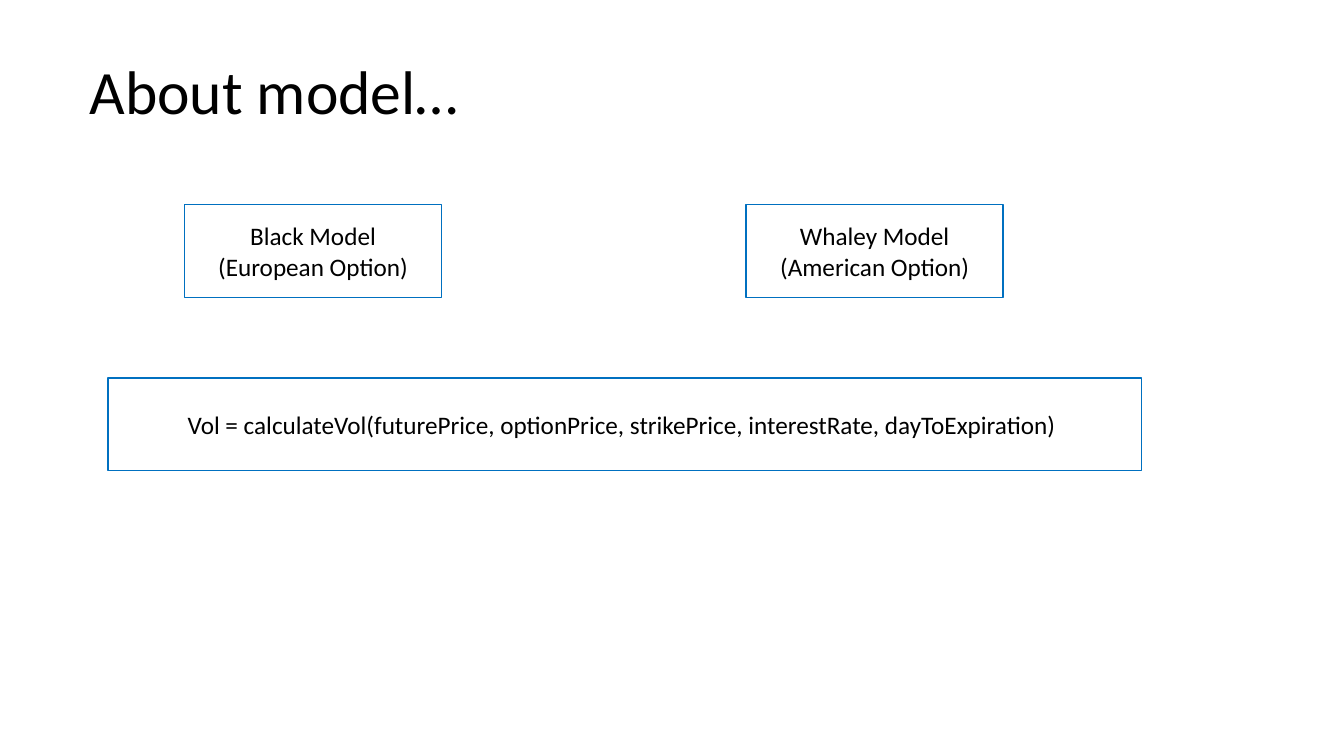
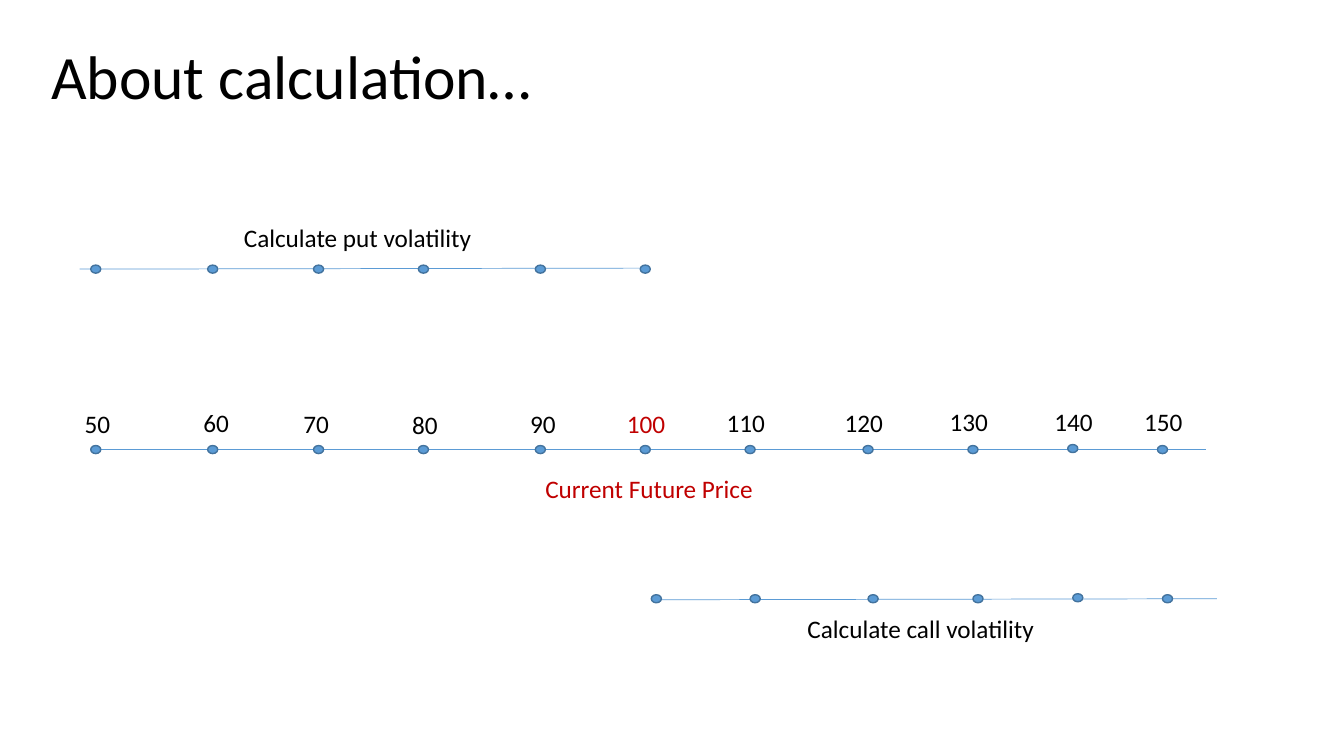
"""Build two slides on option models and the volatility calculation."""
import pptx
import pptx.dml.color
import pptx.enum.shapes
import pptx.enum.text
import pptx.oxml.ns
import pptx.util
import lxml.etree

Inches = pptx.util.Inches
Pt = pptx.util.Pt
SHAPES = pptx.enum.shapes.MSO_SHAPE
ANCHOR = pptx.enum.text.MSO_ANCHOR
hex_color = pptx.dml.color.RGBColor.from_string

BLACK, WHITE, RED = "000000", "FFFFFF", "C00000"
BOX_BLUE, DOT_BLUE, DOT_EDGE = "0070C0", "5B9BD5", "43739E"
TITLE = {"vertical_anchor": ANCHOR.MIDDLE}
BOX = {"vertical_anchor": ANCHOR.MIDDLE}
LABEL = {"auto_size": pptx.enum.text.MSO_AUTO_SIZE.SHAPE_TO_FIT_TEXT}
TITLE_PARAGRAPH = {"line_spacing": 0.9}
BOX_PARAGRAPH = {"alignment": pptx.enum.text.PP_ALIGN.CENTER}


def write(shape, text, frame_format, paragraph_format=None, size=18, color=BLACK):
    """Fill a shape with formatted text."""
    frame = shape.text_frame
    frame.text = text
    frame.word_wrap = True
    for attribute, value in frame_format.items():
        setattr(frame, attribute, value)
    for paragraph in frame.paragraphs:
        for attribute, value in (paragraph_format or {}).items():
            setattr(paragraph, attribute, value)
        for run in paragraph.runs:
            font_format = {"name": "Calibri", "size": Pt(size)}
            for attribute, value in font_format.items():
                setattr(run.font, attribute, value)
            run.font.color.rgb = hex_color(color)


def draw(canvas, kind, left, top, width, height, fill, line):
    """Add a preset shape with a flat fill and a thin outline."""
    shape = canvas.shapes.add_shape(
        kind, Inches(left), Inches(top), Inches(width), Inches(height))
    shape.shadow.inherit = False
    shape.fill.solid()
    shape.fill.fore_color.rgb = hex_color(fill)
    shape.line.color.rgb = hex_color(line)
    shape.line.width = Pt(1)
    return shape


deck = pptx.Presentation()
deck.slide_width = Inches(13.33)
deck.slide_height = Inches(7.5)

slides = []
for title, left, top in [("About model…", 0.79, 0.21),
                         ("About calculation…", 0.41, 0.06)]:
    slide = deck.slides.add_slide(deck.slide_layouts[6])
    heading = slide.shapes.add_textbox(
        Inches(left), Inches(top), Inches(11.5), Inches(1.45))
    write(heading, title, TITLE, TITLE_PARAGRAPH, size=44)
    slides.append(slide)
model_slide, calculation_slide = slides

for text, left, top, width in [
    ("Black Model\n(European Option)", 1.83, 2.03, 2.55),
    ("Whaley Model\n(American Option)", 7.4, 2.03, 2.55),
    ("Vol = calculateVol(futurePrice, optionPrice, strikePrice, "
     "interestRate, dayToExpiration) ", 1.07, 3.75, 10.25),
]:
    box = draw(model_slide, SHAPES.RECTANGLE, left, top, width, 0.92, WHITE, BOX_BLUE)
    write(box, text, BOX, BOX_PARAGRAPH)

strikes = [
    (50, 0.9, 0.74, 4),
    (60, 2.06, 1.92, 3.99),
    (70, 3.11, 2.91, 4),
    (80, 4.15, 3.99, 4.01),
    (90, 5.31, 5.16, 4),
    (100, 6.35, 6.12, 4),
    (110, 7.39, 7.11, 3.99),
    (120, 8.56, 8.28, 3.99),
    (130, 9.6, 9.32, 3.98),
    (140, 10.59, 10.36, 3.98),
    (150, 11.48, 11.25, 3.98),
]
dots = [(strike, left) for strike, left, *_ in strikes]
put_dots = dots[:6]
call_dots = [(100, 6.46)] + [(strike, left + 0.05) for strike, left in dots[6:]]
price_axis = calculation_slide.shapes.add_group_shape()

for canvas, start, end, row_dots, dot_top in [
    (price_axis, (0.9, 4.46), (11.96, 4.46), dots, 4.42),
    (calculation_slide, (0.79, 2.67), (6.35, 2.66), put_dots, 2.63),
    (calculation_slide, (6.51, 5.95), (12.07, 5.94), call_dots, 5.9),
]:
    scale = canvas.shapes.add_connector(
        pptx.enum.shapes.MSO_CONNECTOR.STRAIGHT,
        *[Inches(length) for length in start + end])
    scale.line.color.rgb = hex_color(DOT_BLUE)
    scale.line.width = Pt(0.5)
    lxml.etree.SubElement(
        scale.element.spPr, pptx.oxml.ns.qn("a:effectLst"))
    for strike, left in row_dots:
        top = dot_top - 0.01 if strike == 140 else dot_top
        draw(canvas, SHAPES.OVAL, left, top, 0.1, 0.08, DOT_BLUE, DOT_EDGE)

labels = [
    (price_axis, str(strike), left, top, 0.67, RED if strike == 100 else BLACK)
    for strike, _, left, top in strikes
] + [
    (calculation_slide, "Current Future Price", 5.31, 4.65, 2.39, RED),
    (calculation_slide, "Calculate put volatility", 2.32, 2.16, 2.51, BLACK),
    (calculation_slide, "Calculate call volatility", 7.91, 6.04, 2.51, BLACK),
]
for canvas, text, left, top, width, color in labels:
    label = canvas.shapes.add_textbox(
        Inches(left), Inches(top), Inches(width), Inches(0.4))
    write(label, text, LABEL, color=color)

deck.save("out.pptx")
